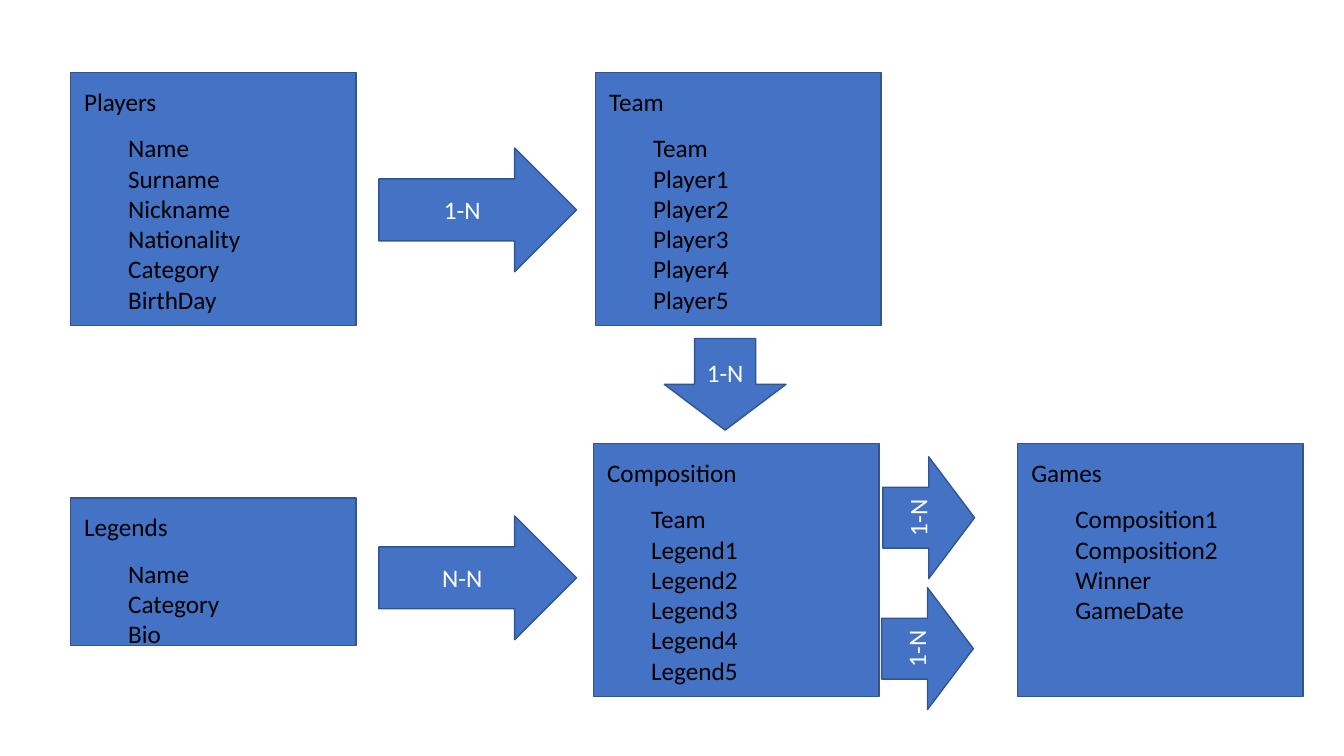
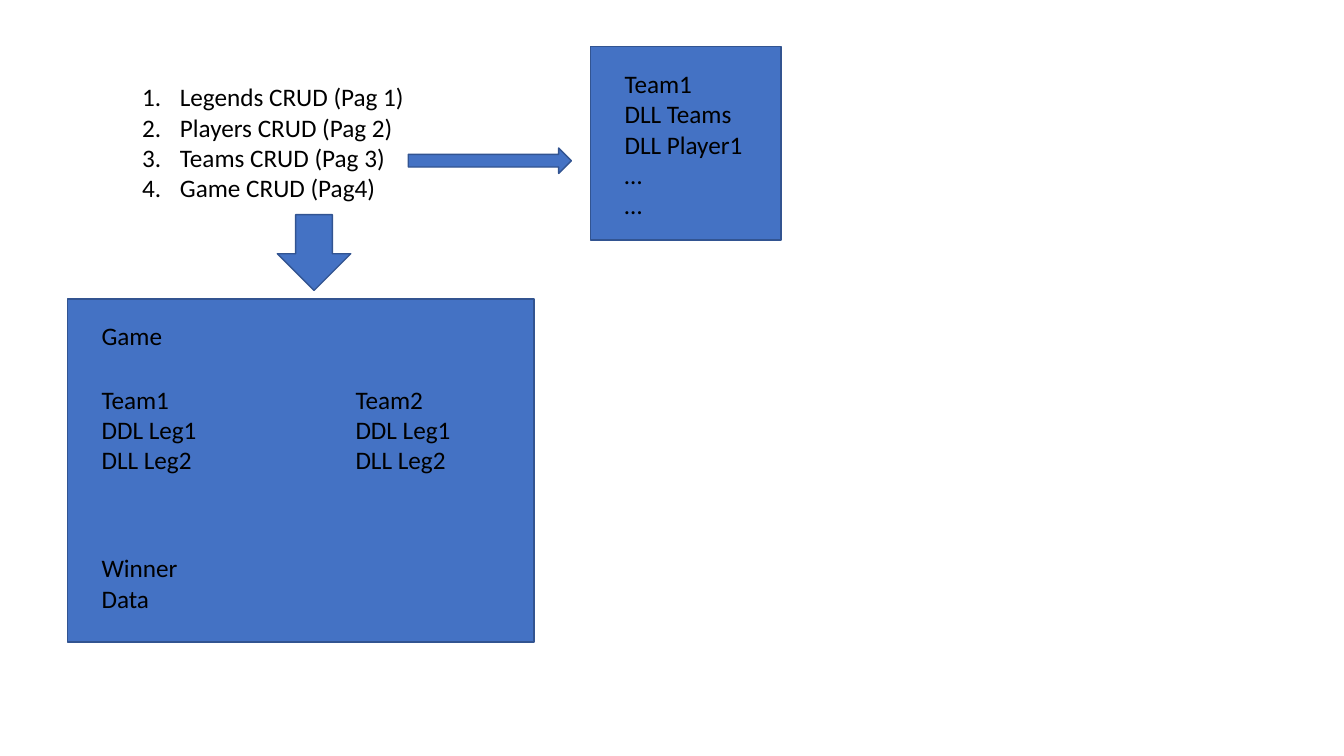
from lxml import etree
from pptx import Presentation
from pptx.dml.color import RGBColor
from pptx.enum.shapes import MSO_SHAPE
from pptx.enum.text import MSO_ANCHOR, PP_ALIGN
from pptx.oxml.ns import qn
from pptx.util import Cm, Pt

RECTANGLE = MSO_SHAPE.RECTANGLE
RIGHT_ARROW = MSO_SHAPE.RIGHT_ARROW
DOWN_ARROW = MSO_SHAPE.DOWN_ARROW
MIDDLE = MSO_ANCHOR.MIDDLE
TOP = MSO_ANCHOR.TOP
CENTER = PP_ALIGN.CENTER
LEFT = PP_ALIGN.LEFT

COLORS = {"block": "4472C4", "outline": "325491", "text": "000000", "label": "FFFFFF"}
FONT = "Calibri"
TEXT_SIZE = Pt(18)
LINE_HEIGHT = 0.76
TEXT_MARGIN = 0.25


def write_lines(frame, lines, color="text", align=LEFT, anchor=TOP):
    frame.word_wrap = True
    frame.vertical_anchor = anchor
    frame.text = "\n".join(lines)
    for paragraph in frame.paragraphs:
        paragraph.alignment = align
        paragraph.space_before = Pt(0)
        paragraph.font.name = FONT
        paragraph.font.size = TEXT_SIZE
        paragraph.font.color.rgb = RGBColor.from_string(COLORS[color])


def add_block(slide, kind, left, top, width, height, label="", rotation=0):
    block = slide.shapes.add_shape(kind, Cm(left), Cm(top), Cm(width), Cm(height))
    block.shadow.inherit = False
    block.rotation = rotation
    block.fill.solid()
    block.fill.fore_color.rgb = RGBColor.from_string(COLORS["block"])
    block.line.color.rgb = RGBColor.from_string(COLORS["outline"])
    block.line.width = Pt(1)
    if label:
        write_lines(block.text_frame, [label], "label", CENTER, MIDDLE)


prs = Presentation()
prs.slide_width = Cm(33.87)
prs.slide_height = Cm(19.05)
content_layout = prs.slide_layouts[1]
blank_layout = prs.slide_layouts[6]

model = prs.slides.add_slide(blank_layout)
entities = [
    ("Players", 1.78, 1.83, 6.38,
     ["Name", "Surname", "Nickname", "Nationality", "Category", "BirthDay"]),
    ("Team", 15.01, 1.83, 6.38, ["Team"] + [f"Player{n}" for n in range(1, 6)]),
    ("Games", 25.65, 11.18, 6.38, ["Composition1", "Composition2", "Winner", "GameDate"]),
    ("Legends", 1.78, 12.55, 3.71, ["Name", "Category", "Bio"]),
    ("Composition", 14.96, 11.18, 6.38, ["Team"] + [f"Legend{n}" for n in range(1, 6)]),
]
for entity, left, top, height, fields in entities:
    add_block(model, RECTANGLE, left, top, 7.19, height)
    for lines, indent, drop, width in (([entity], 0.09, 0.22, 6.9), (fields, 1.2, 1.39, 5.5)):
        text = model.shapes.add_textbox(
            Cm(left + indent), Cm(top + drop), Cm(width),
            Cm(LINE_HEIGHT * len(lines) + TEXT_MARGIN))
        write_lines(text.text_frame, lines)

for top, relation in ((3.73, "1-N"), (13, "N-N")):
    add_block(model, RIGHT_ARROW, 9.55, top, 4.98, 3.12, relation)
for left, top, rotation in ((16.74, 8.53, 0), (21.87, 11.89, 270), (21.84, 15.19, 270)):
    add_block(model, DOWN_ARROW, left, top, 3.07, 2.31, "1-N", rotation)

pages = prs.slides.add_slide(content_layout)
empty_title = pages.shapes.title.element
empty_title.getparent().remove(empty_title)
page_list = pages.placeholders[1]
page_list.left, page_list.top = Cm(3.33), Cm(1.93)
page_list.width, page_list.height = Cm(21.77), Cm(5.64)
write_lines(page_list.text_frame, [
    "Legends CRUD (Pag 1)", "Players CRUD (Pag 2)", "Teams CRUD (Pag 3)", "Game CRUD (Pag4)"])
for paragraph in page_list.text_frame.paragraphs:
    properties = paragraph._p.get_or_add_pPr()
    properties.set("marL", str(Cm(0.95)))
    properties.set("indent", str(-Cm(0.95)))
    numbering = etree.Element(qn("a:buAutoNum"), type="arabicPeriod")
    properties.find(qn("a:spcBef")).addnext(numbering)

add_block(pages, RECTANGLE, 14.88, 1.17, 4.8, 4.88)
add_block(pages, RECTANGLE, 1.7, 7.54, 11.76, 8.64)
form_texts = [
    (15.49, 1.6, ["Team1", "DLL Teams", "DLL Player1", "…", "…"]),
    (2.31, 7.95, ["Game"]),
    (2.31, 9.55, ["Team1", "DDL Leg1", "DLL Leg2"]),
    (8.71, 9.55, ["Team2", "DDL Leg1", "DLL Leg2"]),
    (2.31, 13.8, ["Winner", "Data"]),
]
for left, top, lines in form_texts:
    text = pages.shapes.add_textbox(
        Cm(left), Cm(top), Cm(4), Cm(LINE_HEIGHT * len(lines) + TEXT_MARGIN))
    write_lines(text.text_frame, lines)

add_block(pages, RIGHT_ARROW, 10.29, 3.73, 4.11, 0.64)
add_block(pages, DOWN_ARROW, 6.99, 5.41, 1.85, 1.91)

prs.save("out.pptx")
